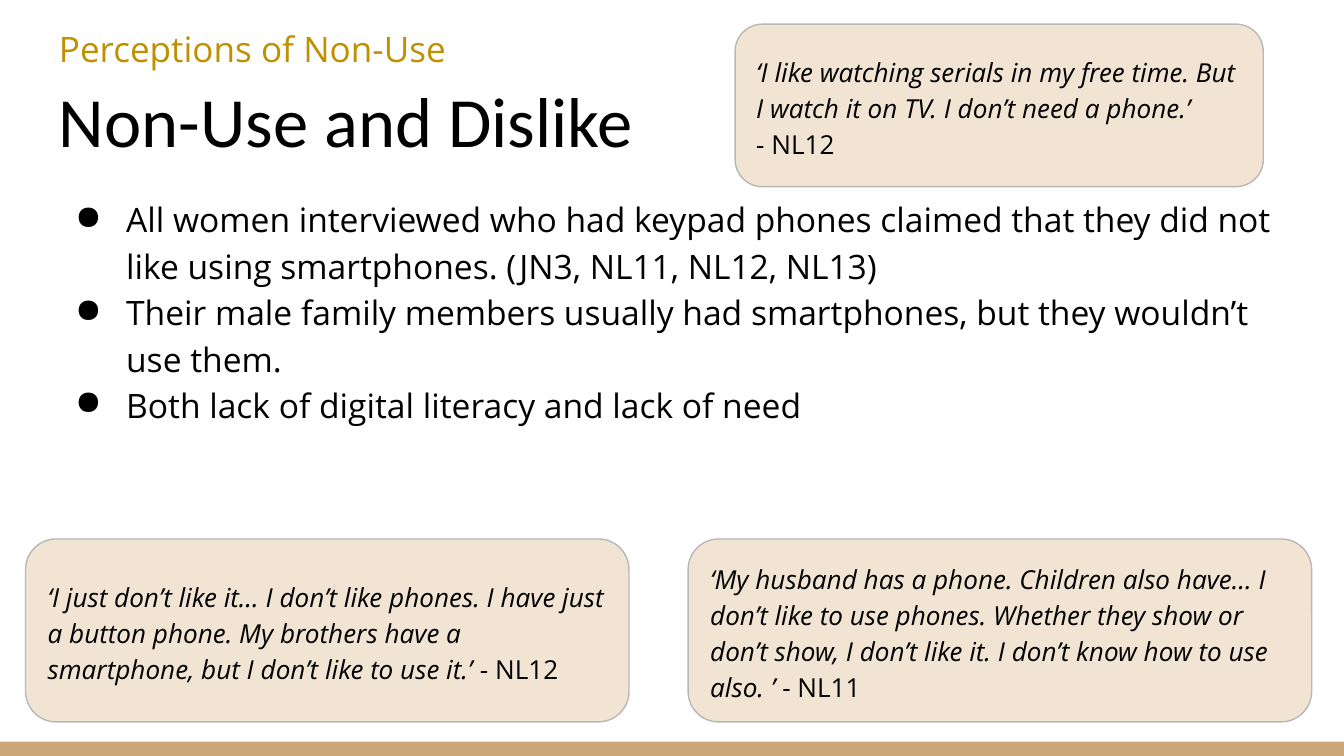
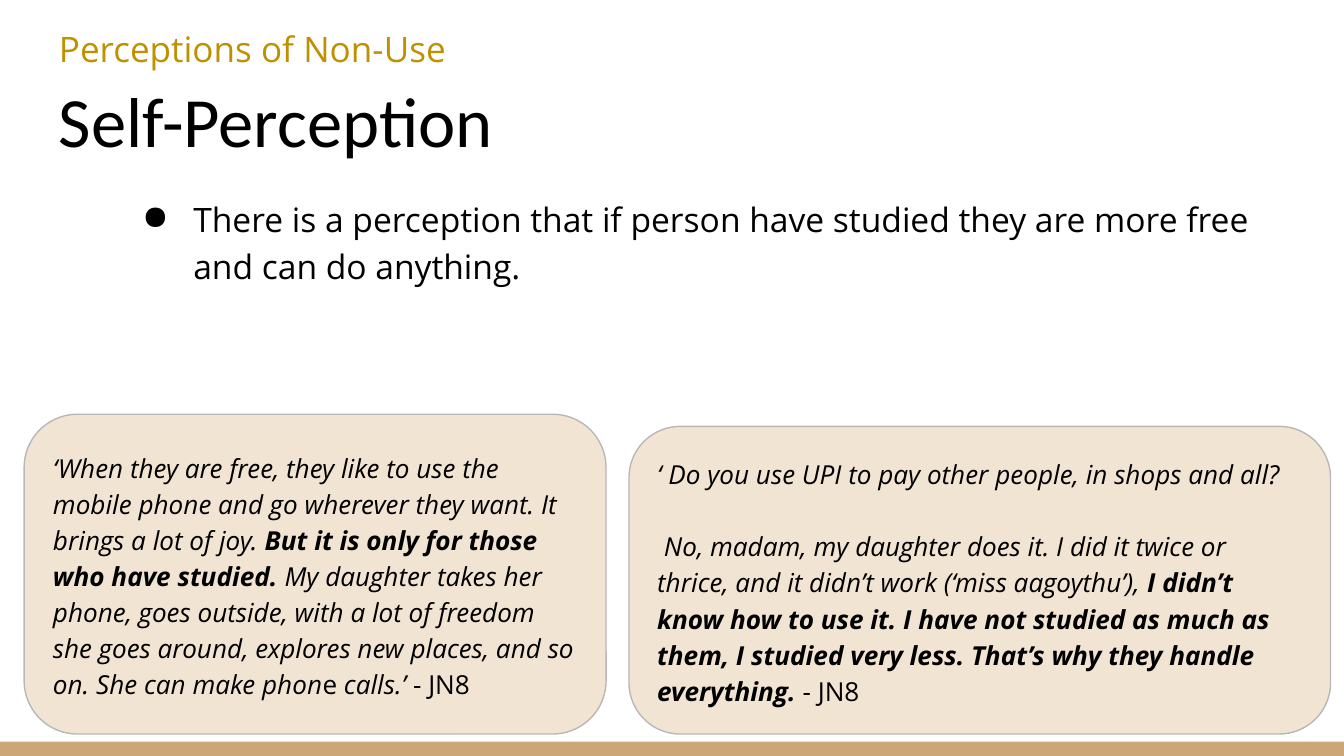
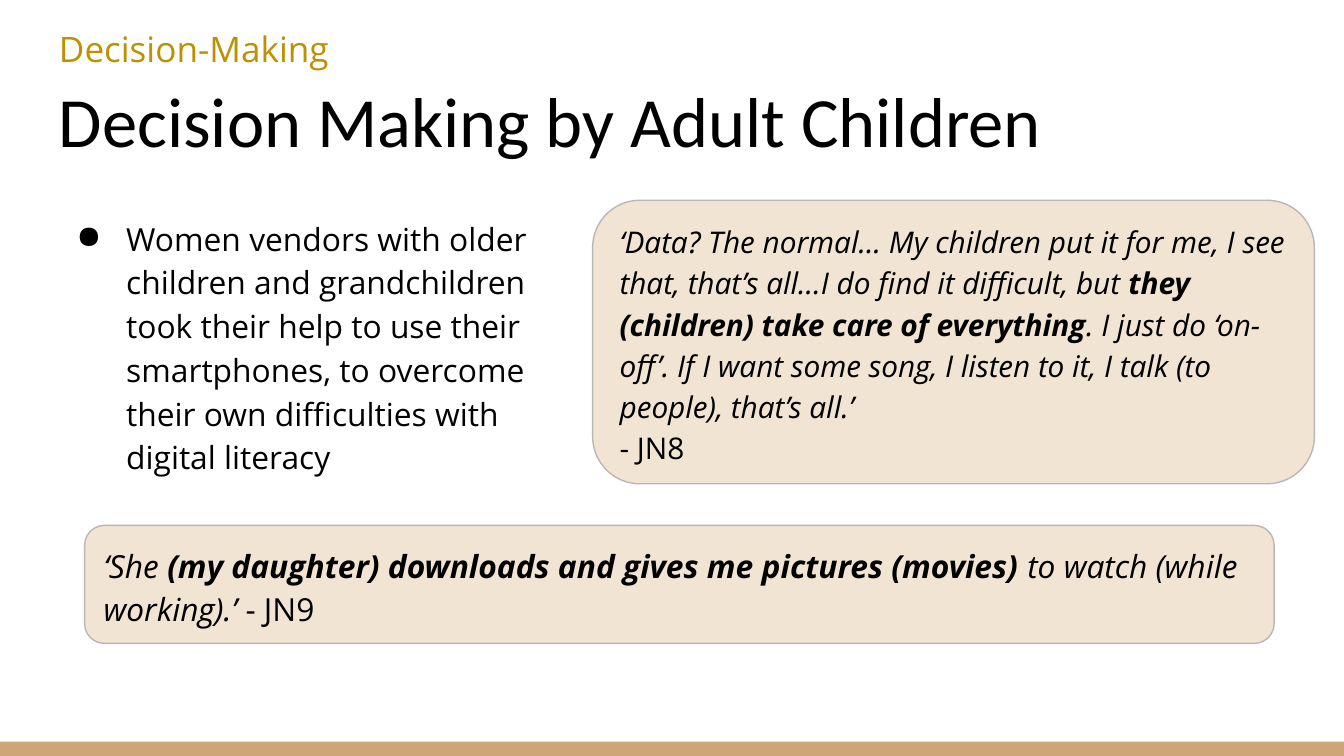
"""Build three slides on non-use and decision-making, each with quote cards."""
from lxml.etree import SubElement as Sub
from pptx import Presentation
from pptx.dml.color import RGBColor as RGB
from pptx.enum.shapes import MSO_SHAPE as Form
from pptx.enum.text import MSO_ANCHOR as Anchor, PP_ALIGN as Align
from pptx.oxml.ns import qn
from pptx.util import Inches, Pt

HUES = {"band": "CCA677", "card": "F1E4D3", "edge": "B7B7B7", "gold": "BF9000", "ink": "000000"}
SANS, HEAD = "Open Sans", "Calibri"
WIDE, HIGH = Inches(10), Inches(5.625)


def place(area):
    """Turn percentages of the slide (left, top, width, height) into lengths."""
    return [int(part * side / 100) for part, side in zip(area, (WIDE, HIGH) * 2)]


def write(shape, paras, size, anchor, font=SANS, hue="ink", lead=None, dent=None, gaps=()):
    """Fill a shape with paragraphs of (style, text) runs: i italic, b bold."""
    frame = shape.text_frame
    frame.word_wrap = True
    frame.vertical_anchor = anchor
    frame.margin_left = frame.margin_right = Inches(0.1)
    frame.margin_top = frame.margin_bottom = Inches(0.1)
    for n, runs in enumerate(paras):
        para = frame.add_paragraph() if n else frame.paragraphs[0]
        para.alignment = Align.LEFT
        if lead:
            para.line_spacing = lead
        if n and n in gaps:
            para.space_before = Pt(19.3)
        if dent:
            props = para._p.get_or_add_pPr()
            props.set("marL", str(Inches(dent[0])))
            props.set("indent", str(Inches(dent[1])))
            Sub(props, qn("a:buChar")).set("char", "●")
        para.font.size = Pt(size)
        para.font.name = font
        para.font.color.rgb = RGB.from_string(HUES[hue])
        for style, words in runs:
            run = para.add_run()
            run.text = words
            if "i" in style:
                run.font.italic = True
            if "b" in style:
                run.font.bold = True


SLIDES = [
    {
        "topic": "Perceptions of Non-Use",
        "title": "Non-Use and Dislike",
        "area": (3.4, 23.8, 93.2, 65.2), "size": 18, "dent": (0.5, -0.38),
        "points": [
            "All women interviewed who had keypad phones claimed that they did not like using "
            "smartphones. (JN3, NL11, NL12, NL13)",
            "Their male family members usually had smartphones, but they wouldn’t use them.",
            "Both lack of digital literacy and lack of need",
        ],
        "cards": [
            ((1.9, 71.3, 44.9, 24.2), 14, (), [[
                ("i", "‘I just don’t like it… I don’t like phones. I have just a button phone. "
                      "My brothers have a smartphone, but I don’t like to use it.’ "),
                ("", "- NL12")]]),
            ((51.2, 71.3, 46.4, 24.2), 14, (), [[
                ("i", "‘My husband has a phone. Children also have… I don’t like to use phones. "
                      "Whether they show or don’t show, I don’t like it. "
                      "I don’t know how to use also. ’ "),
                ("", "- NL11")]]),
            ((54.7, 3.2, 39.3, 21.5), 14, (), [
                [("i", "‘I like watching serials in my free time. But I watch it on TV. "
                       "I don’t need a phone.’")],
                [("", "- NL12")]]),
        ],
    },
    {
        "topic": "Perceptions of Non-Use",
        "title": "Self-Perception",
        "area": (3.4, 23.8, 95.6, 32.5), "size": 18, "dent": (1, -0.38),
        "points": ["There is a perception that if person have studied they are more free "
                   "and can do anything."],
        "cards": [
            ((1.8, 54.8, 43.3, 42.3), 14, (), [[
                ("i", "‘When they are free, they like to use the mobile phone and go wherever "
                      "they want. It brings a lot of joy. "),
                ("bi", "But it is only for those who have studied."),
                ("i", " My daughter takes her phone, goes outside, with a lot of freedom she goes "
                      "around, explores new places, and so on. She can make phon"),
                ("", "e"), ("i", " calls.’"), ("", " - JN8")]]),
            ((46.8, 56.4, 52.2, 40.7), 14, (1,), [
                [("i", "‘ Do you use UPI to pay other people, in shops and all?")],
                [("i", " No, madam, my daughter does it. I did it twice or thrice, "
                       "and it didn’t work (‘miss aagoythu’), "),
                 ("bi", "I didn’t know how to use it. I have not studied as much as them, "
                        "I studied very less. That’s why they handle everything. "),
                 ("", "- JN8")]]),
        ],
    },
    {
        "topic": "Decision-Making",
        "title": "Decision Making by Adult Children",
        "area": (3.4, 26.5, 38.9, 65.2), "size": 17, "dent": (0.5, -0.37),
        "points": ["Women vendors with older children and grandchildren took their help to use "
                   "their smartphones, to overcome their own difficulties with digital literacy"],
        "cards": [
            ((44.1, 26.5, 53.7, 37.5), 16, (), [
                [("i", "‘Data? The normal... My children put it for me, I see that, that’s all…"
                       "I do find it difficult, but "),
                 ("bi", "they (children) take care of everything"),
                 ("i", ". I just do ‘on-off’. If I want some song, I listen to it, "
                       "I talk (to people), that’s all.’")],
                [("", "- JN8")]]),
            ((6.3, 69.5, 88.5, 15.6), 17, (), [[
                ("i", "‘She "),
                ("bi", "(my daughter) downloads and gives me pictures (movies) "),
                ("i", "to watch (while working).’ "),
                ("", "- JN9")]]),
        ],
    },
]

deck = Presentation()
deck.slide_width, deck.slide_height = WIDE, HIGH
for page in SLIDES:
    shapes = deck.slides.add_slide(deck.slide_layouts[6]).shapes

    band = shapes.add_shape(Form.RECTANGLE, *place((0, 98.1, 100, 1.9)))
    band.shadow.inherit = False
    band.fill.solid()
    band.fill.fore_color.rgb = RGB.from_string(HUES["band"])
    band.line.fill.background()

    title = shapes.add_textbox(*place((3.4, 11.7, 93.2, 11.4)))
    write(title, [[("", page["title"])]], 37.8, Anchor.BOTTOM, font=HEAD)
    body = shapes.add_textbox(*place(page["area"]))
    write(body, [[("", point)] for point in page["points"]], page["size"], Anchor.TOP,
          lead=1.15, dent=page["dent"])
    topic = shapes.add_textbox(*place((3.4, 3.2, 93.2, 7.8)))
    write(topic, [[("", page["topic"])]], 18.8, Anchor.BOTTOM, hue="gold")

    for area, size, gaps, quote in page["cards"]:
        card = shapes.add_shape(Form.ROUNDED_RECTANGLE, *place(area))
        card.shadow.inherit = False
        card.fill.solid()
        card.fill.fore_color.rgb = RGB.from_string(HUES["card"])
        card.line.color.rgb = RGB.from_string(HUES["edge"])
        card.line.width = Pt(0.75)
        write(card, quote, size, Anchor.MIDDLE, lead=1.15, gaps=gaps)

deck.save("out.pptx")
